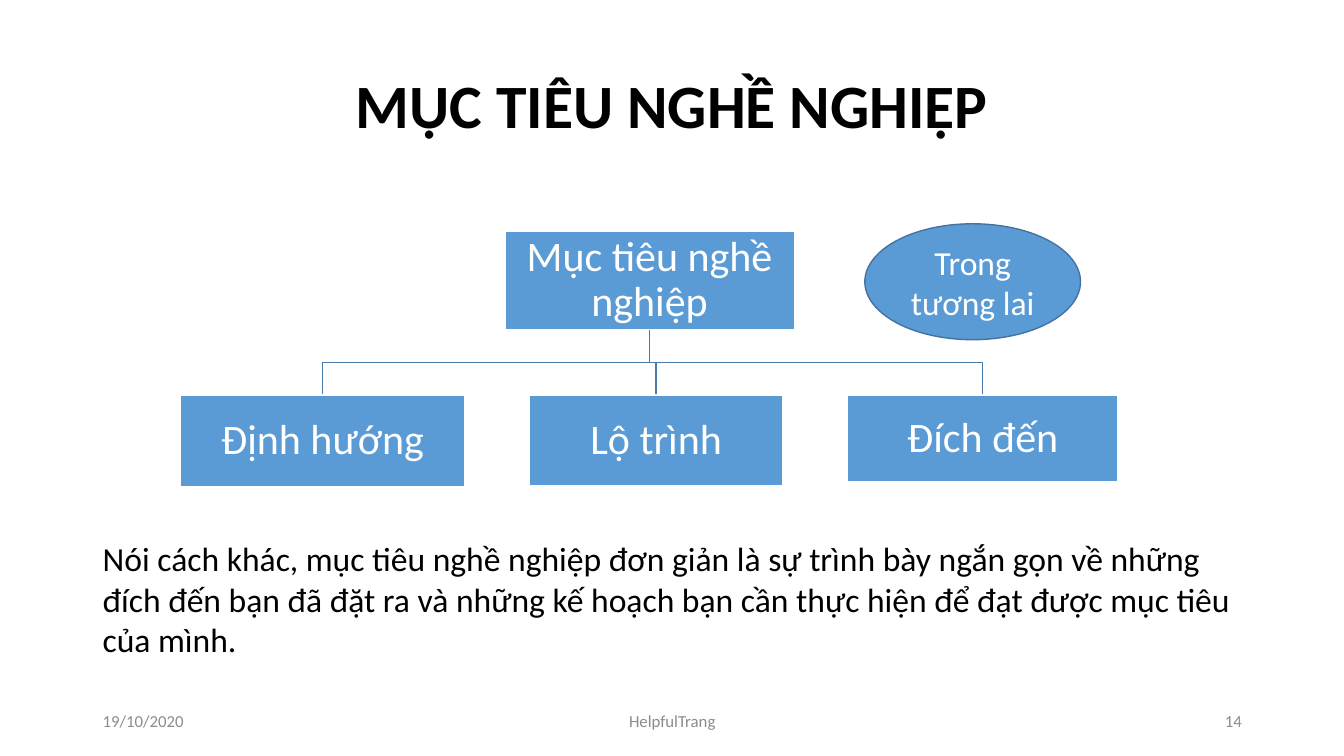
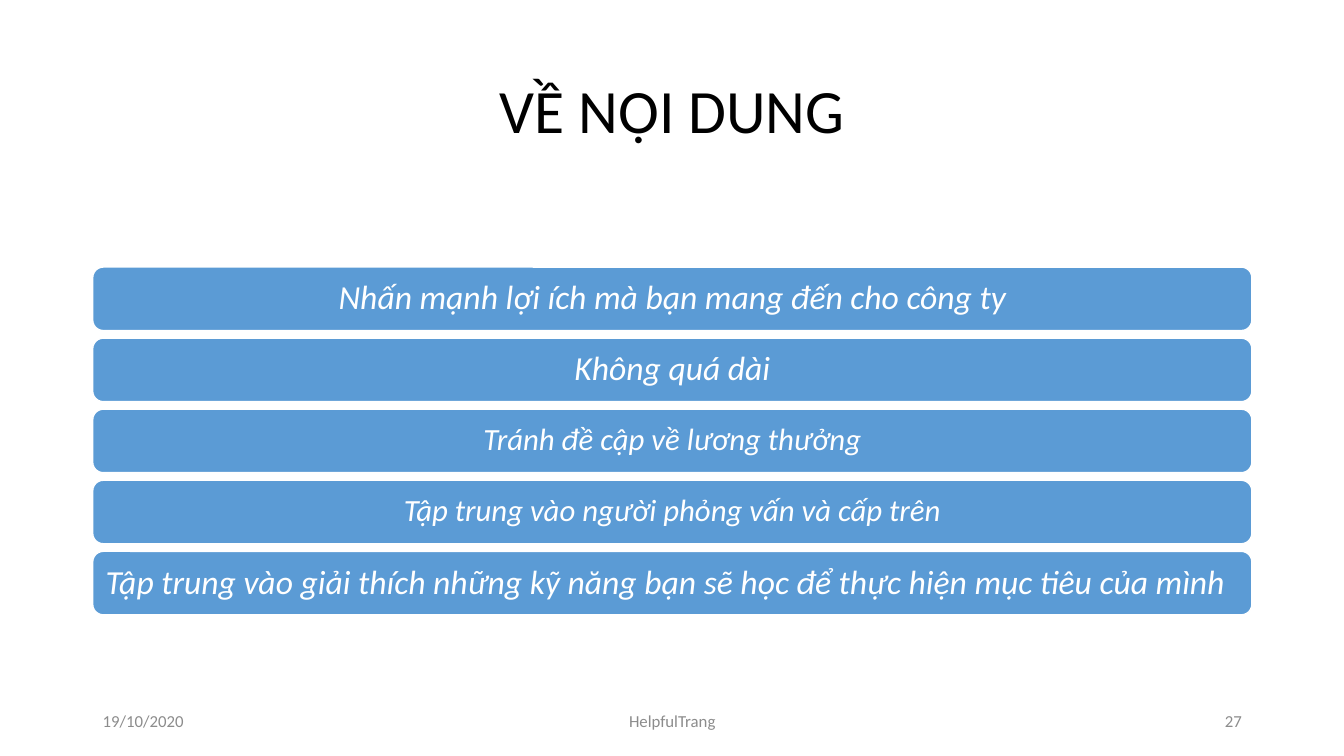
import dataclasses

import pptx
import pptx.dml.color
import pptx.enum.shapes
import pptx.enum.text
import pptx.util

Inches = pptx.util.Inches
SHAPE = pptx.enum.shapes.MSO_SHAPE
ALIGN = pptx.enum.text.PP_ALIGN
ANCHOR = pptx.enum.text.MSO_ANCHOR

FONT = "Calibri"
BLUE, EDGE, WIRE = "5B9BD5", "43739E", "497CAB"
WHITE, BLACK, GREY = "FFFFFF", "000000", "8C8C8C"
LEFT, WIDTH = 0.92, 11.5


@dataclasses.dataclass(frozen=True)
class Box:
    left: float
    top: float
    width: float
    height: float

    def lengths(self) -> list:
        return [Inches(side) for side in dataclasses.astuple(self)]

    @property
    def middle(self) -> float:
        return self.left + self.width / 2


@dataclasses.dataclass(frozen=True)
class Node:
    text: str
    box: Box


@dataclasses.dataclass(frozen=True)
class Bar:
    text: str
    size: int = 24
    align: ALIGN = ALIGN.CENTER


def paint(target, color: str) -> None:
    """Give a fill a solid colour, or a font or line its colour."""
    if hasattr(target, "solid"):
        target.solid()
        target = target.fore_color
    else:
        target = target.color
    target.rgb = pptx.dml.color.RGBColor.from_string(color)


def outline(shape, color: str) -> None:
    shape.shadow.inherit = False
    paint(shape.line, color)
    shape.line.width = pptx.util.Pt(1)


def write(shape, text: str, *, size: int, color: str = BLACK, bold: bool = False,
          italic: bool = False, align: ALIGN = ALIGN.LEFT, anchor: ANCHOR = ANCHOR.MIDDLE,
          spacing: float = 1.0, side: float = 0.1, edge: float = 0.05) -> None:
    """Set text and format; side and edge are the insets in inches."""
    frame = shape.text_frame
    frame.word_wrap = True
    frame.auto_size = pptx.enum.text.MSO_AUTO_SIZE.NONE
    frame.vertical_anchor = anchor
    frame.margin_left = frame.margin_right = Inches(side)
    frame.margin_top = frame.margin_bottom = Inches(edge)
    frame.text = text
    para = frame.paragraphs[0]
    para.alignment = align
    para.line_spacing = spacing
    font = para.runs[0].font
    font.name, font.size = FONT, pptx.util.Pt(size)
    font.bold, font.italic = bold, italic
    paint(font, color)


def add_block(slide, kind: SHAPE, box: Box, line: str = WHITE):
    block = slide.shapes.add_shape(kind, *box.lengths())
    paint(block.fill, BLUE)
    outline(block, line)
    return block


def add_label(slide, text: str, box: Box, **style) -> None:
    write(slide.shapes.add_textbox(*box.lengths()), text, **style)


def add_branch(slide, root: Box, leaf: Box) -> None:
    """Draw the bent line from the foot of one box to the top of another."""
    foot = root.top + root.height
    bend = (foot + leaf.top) / 2
    points = [(root.middle, bend), (leaf.middle, bend), (leaf.middle, leaf.top)]
    pen = slide.shapes.build_freeform(Inches(root.middle), Inches(foot))
    pen.add_line_segments([(Inches(x), Inches(y)) for x, y in points], close=False)
    branch = pen.convert_to_shape()
    branch.fill.background()
    outline(branch, WIRE)


def add_page(deck, title: str, number: int, top: float, bold: bool = False):
    """Add a slide with its title and footer."""
    slide = deck.slides.add_slide(deck.slide_layouts[5])
    head = slide.shapes.title
    head.left, head.top, head.width, head.height = Box(LEFT, top, WIDTH, 1.45).lengths()
    write(head, title, size=44, bold=bold, align=ALIGN.CENTER, spacing=0.9)
    footer = [
        ("19/10/2020", LEFT, 3, ALIGN.LEFT),
        ("HelpfulTrang", 4.42, 4.5, ALIGN.CENTER),
        (str(number), 9.42, 3, ALIGN.RIGHT),
    ]
    for text, left, width, align in footer:
        add_label(slide, text, Box(left, 6.95, width, 0.4), size=12, color=GREY, align=align)
    return slide


def add_goals(deck) -> None:
    slide = add_page(deck, "MỤC TIÊU NGHỀ NGHIỆP", 14, 0.35, bold=True)
    root = Node("Mục tiêu nghề nghiệp", Box(5.01, 2.29, 2.87, 0.98))
    leaves = [
        Node("Định hướng", Box(1.79, 3.92, 2.82, 0.91)),
        Node("Lộ trình", Box(5.25, 3.92, 2.52, 0.9)),
        Node("Đích đến", Box(8.41, 3.92, 2.68, 0.86)),
    ]
    for leaf in reversed(leaves):
        add_branch(slide, root.box, leaf.box)
    for node in [root, *leaves]:
        block = add_block(slide, SHAPE.RECTANGLE, node.box)
        write(block, node.text, size=30, color=WHITE, align=ALIGN.CENTER,
              spacing=0.9, side=0.02, edge=0.02)
    future = add_block(slide, SHAPE.OVAL, Box(8.58, 2.22, 2.14, 1.15), EDGE)
    write(future, "Trong tương lai", size=24, color=WHITE, align=ALIGN.CENTER)
    add_label(
        slide,
        "Nói cách khác, mục tiêu nghề nghiệp đơn giản là sự trình bày ngắn gọn về những "
        "đích đến bạn đã đặt ra và những kế hoạch bạn cần thực hiện để đạt được mục tiêu "
        "của mình.",
        Box(LEFT, 5.29, WIDTH, 1.62), size=24, anchor=ANCHOR.TOP)


def add_content(deck) -> None:
    slide = add_page(deck, "VỀ NỘI DUNG", 27, 0.4)
    bars = [
        Bar("Nhấn mạnh lợi ích mà bạn mang đến cho công ty"),
        Bar("Không quá dài"),
        Bar("Tránh đề cập về lương thưởng", 22),
        Bar("Tập trung vào người phỏng vấn và cấp trên", 22),
        Bar("Tập trung vào giải thích những kỹ năng bạn sẽ học để thực hiện mục tiêu của mình",
            align=ALIGN.LEFT),
    ]
    first, last = 2.65, 5.47
    pitch = (last - first) / (len(bars) - 1)
    for row, bar in enumerate(bars):
        box = Box(LEFT, first + row * pitch, WIDTH, 0.63)
        block = add_block(slide, SHAPE.ROUNDED_RECTANGLE, box)
        write(block, bar.text, size=bar.size, color=WHITE, italic=True,
              align=bar.align, spacing=0.9)


def main() -> None:
    deck = pptx.Presentation()
    deck.slide_width, deck.slide_height = Inches(40 / 3), Inches(7.5)
    add_goals(deck)
    add_content(deck)
    deck.save("out.pptx")


if __name__ == "__main__":
    main()
